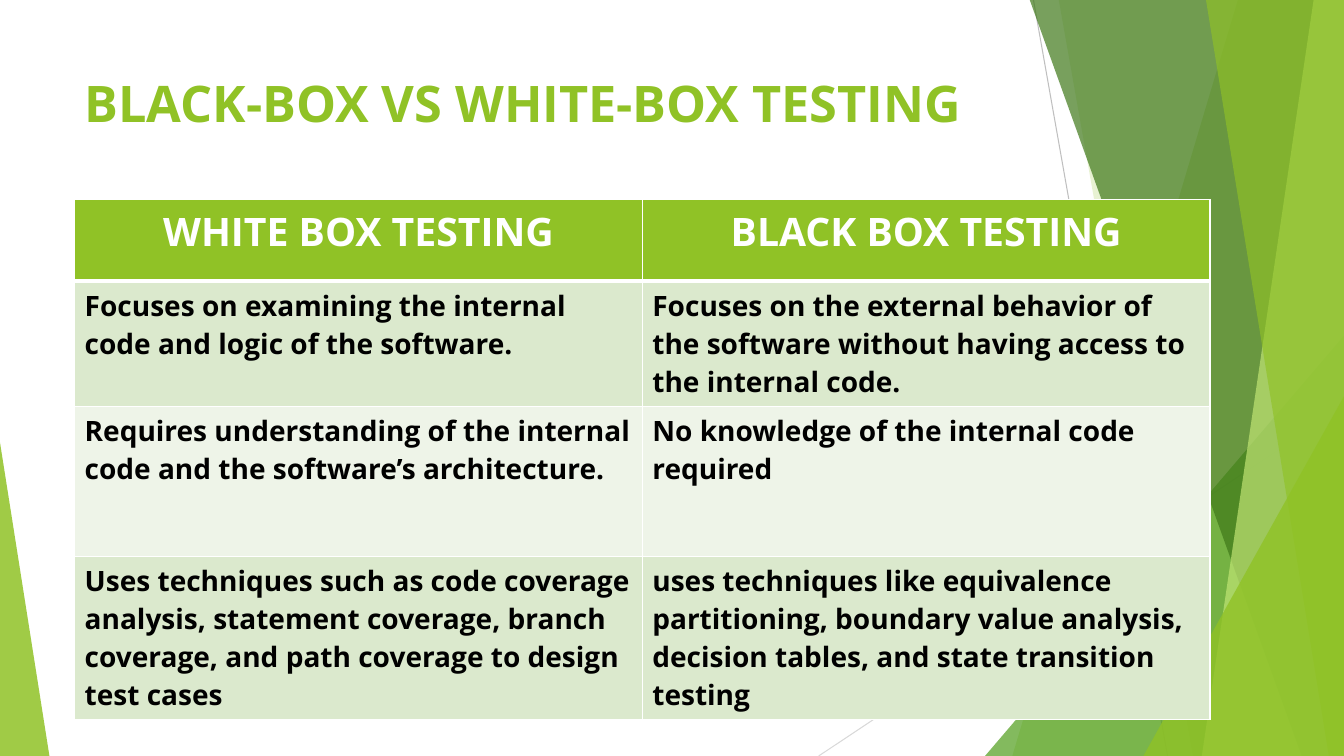
from lxml import etree
from pptx import Presentation
from pptx.dml.color import RGBColor
from pptx.enum.shapes import MSO_CONNECTOR as CONN, MSO_SHAPE as SHAPE
from pptx.enum.text import PP_ALIGN as ALIGN
from pptx.oxml import parse_xml
from pptx.oxml.ns import nsdecls, qn
from pptx.util import Inches, Pt

FONT = "Open Sans"
GREEN = "90C226"
WIDTH, HEIGHT = 13.33, 7.5


def rgb(color):
    return RGBColor.from_string(color)


def style_facet(s, color, opacity):
    """Give a background shape a translucent fill, no line and no shadow."""
    s.shadow.inherit = False
    s.line.fill.background()
    s.fill.solid()
    s.fill.fore_color.rgb = rgb(color)
    clr = s.fill._xPr.find(qn("a:solidFill"))[0]
    etree.SubElement(clr, qn("a:alpha")).set("val", str(opacity * 1000))


prs = Presentation()
prs.slide_width, prs.slide_height = Inches(WIDTH), Inches(HEIGHT)
slide = prs.slides.add_slide(prs.slide_layouts[6])
shapes = slide.shapes

# Thin background lines: start, end, colour
for x1, y1, x2, y2, color in [
    (10.25, 0, 11.58, HEIGHT, "BFBFBF"),
    (WIDTH, 4.03, 8.12, HEIGHT, "D9D9D9"),
]:
    line = shapes.add_connector(CONN.STRAIGHT, Inches(x1), Inches(y1), Inches(x2), Inches(y2))
    line.line.color.rgb = rgb(color)
    line.line.width = Pt(0.75)
    etree.SubElement(line._element.spPr, qn("a:effectLst"))

# Facets from back to front. A band runs from its slanted left edge to the
# right side of the slide; a triangle stands on the bottom of the slide.
facets = [
    ("band", (12.28, 10.04), GREEN, 30),
    ("band", (10.5, 11.83), GREEN, 20),
    ("triangle", (9.77, 3.33, 3.56, 1), "54A021", 72),
    ("band", (10.21, 12.91), "3F7819", 70),
    ("band", (13.03, 11.92), "C0E474", 70),
    ("band", (11.96, 13.18), GREEN, 65),
    ("triangle", (11.34, 3.93, 1.99, 1), GREEN, 80),
    ("triangle", (0, 4.39, 0.49, 0), GREEN, 85),
]
for kind, geometry, color, opacity in facets:
    if kind == "band":
        top_x, bottom_x = geometry
        corners = [(WIDTH, -0.01), (WIDTH, HEIGHT), (bottom_x, HEIGHT)]
        builder = shapes.build_freeform(Inches(top_x), Inches(-0.01))
        builder.add_line_segments([(Inches(x), Inches(y)) for x, y in corners], close=True)
        s = builder.convert_to_shape()
    else:
        x, y, w, apex = geometry
        s = shapes.add_shape(SHAPE.ISOSCELES_TRIANGLE, Inches(x), Inches(y),
                             Inches(w), Inches(HEIGHT - y))
        s.adjustments[0] = apex
    style_facet(s, color, opacity)

# Title
title = shapes.add_textbox(Inches(0.74), Inches(0.67), Inches(9.4), Inches(0.91))
tf = title.text_frame
tf.word_wrap = True
p = tf.paragraphs[0]
p.text = "BLACK-BOX VS WHITE-BOX TESTING"
p.font.name, p.font.size, p.font.bold = FONT, Pt(36), True
p.font.color.rgb = rgb(GREEN)

# Comparison table
rows = [
    ("WHITE BOX TESTING", "BLACK BOX TESTING"),
    ("Focuses on examining the internal code and logic of the software.",
     "Focuses on the external behavior of the software without having access to "
     "the internal code."),
    ("Requires understanding of the internal code and the software’s architecture.",
     "No knowledge of the internal code required"),
    ("Uses techniques such as code coverage analysis, statement coverage, branch "
     "coverage, and path coverage to design test cases",
     "uses techniques like equivalence partitioning, boundary value analysis, "
     "decision tables, and state transition testing"),
]
row_heights = [0.81, 1.24, 1.49, 1.62]
row_fills = [GREEN, "DBE9CD", "EEF4E8", "DBE9CD"]
table = shapes.add_table(len(rows), 2, Inches(0.74), Inches(1.98),
                         Inches(11.26), Inches(sum(row_heights))).table
for column in table.columns:
    column.width = Inches(5.63)

for i, texts in enumerate(rows):
    header = i == 0
    table.rows[i].height = Inches(row_heights[i])
    for j, text in enumerate(texts):
        cell = table.cell(i, j)
        cell.fill.solid()
        cell.fill.fore_color.rgb = rgb(row_fills[i])
        p = cell.text_frame.paragraphs[0]
        p.text = text
        p.alignment = ALIGN.CENTER if header else ALIGN.LEFT
        p.font.name, p.font.bold = FONT, True
        p.font.size = Pt(28 if header else 20)
        p.font.color.rgb = rgb("FFFFFF" if header else "000000")
        # The rule under the header row is thicker than the other borders
        widths = {"L": 1, "R": 1, "T": 3 if i == 1 else 1, "B": 3 if header else 1}
        tc_pr = cell._tc.get_or_add_tcPr()
        for k, (side, width) in enumerate(widths.items()):
            tc_pr.insert(k, parse_xml(
                f'<a:ln{side} {nsdecls("a")} w="{Pt(width)}"><a:solidFill>'
                f'<a:srgbClr val="FFFFFF"/></a:solidFill></a:ln{side}>'))

prs.save("out.pptx")
